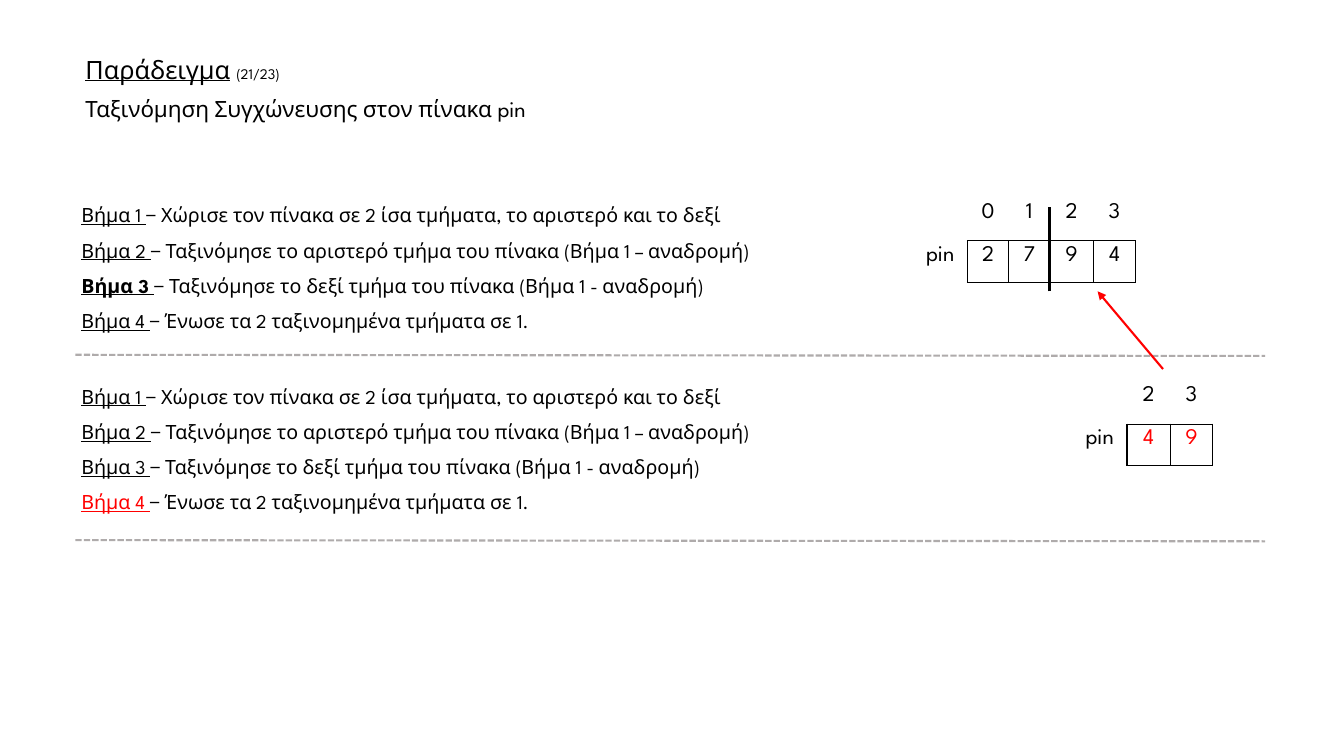
from lxml import etree
from pptx import Presentation
from pptx import util as u
from pptx.dml.color import RGBColor
from pptx.enum import dml, shapes, text
from pptx.oxml import ns

BLACK = RGBColor(0x00, 0x00, 0x00)
RED = RGBColor(0xFF, 0x00, 0x00)
GREY = RGBColor(0xAF, 0xAB, 0xAB)
STEPS = [
    ("Βήμα 1 ", "− Χώρισε τον πίνακα σε 2 ίσα τμήματα, το αριστερό και το δεξί"),
    ("Βήμα 2 ", "− Ταξινόμησε το αριστερό τμήμα του πίνακα (Βήμα 1 – αναδρομή)"),
    ("Βήμα 3 ", "− Ταξινόμησε το δεξί τμήμα του πίνακα (Βήμα 1 - αναδρομή)"),
    ("Βήμα 4 ", "− Ένωσε τα 2 ταξινομημένα τμήματα σε 1."),
]
NAME_WIDTH = 1.37
INDEX_WIDTHS = [1.04, 1.04, 1.09, 1.07]
ROW_HEIGHTS = [1.09, 1.04]


class SlideBuilder:
    """Hold the text style and the current slide, and add its elements."""

    font_name = "League Spartan"

    def __init__(self, slide):
        """Keep the slide to draw on."""
        self.slide = slide

    def style(self, paragraph, size, color=BLACK):
        """Set the font of a whole paragraph."""
        paragraph.font.name = self.font_name
        paragraph.font.size = u.Pt(size)
        paragraph.font.color.rgb = color

    def run(self, paragraph, words, underline=False):
        """Add a run and return it."""
        run = paragraph.add_run()
        run.text = words
        run.font.underline = underline
        return run

    def title(self, heading, page, subtitle):
        """Place the title with its page count and second line."""
        shape = self.slide.shapes.title
        shape.left, shape.top = u.Cm(1.9), u.Cm(1.32)
        shape.width, shape.height = u.Cm(27.41), u.Cm(1.96)
        frame = shape.text_frame
        frame.word_wrap = True
        frame.auto_size = text.MSO_AUTO_SIZE.NONE
        frame.vertical_anchor = text.MSO_ANCHOR.TOP
        first, second = frame.paragraphs[0], frame.add_paragraph()
        self.run(first, heading, underline=True)
        self.run(first, " ")
        self.run(first, page).font.size = u.Pt(10.5)
        self.run(second, subtitle)
        for paragraph, size, space in ((first, 18, 0), (second, 16, 10)):
            paragraph.alignment = text.PP_ALIGN.LEFT
            paragraph.line_spacing = 0.9
            paragraph.space_before = u.Pt(space)
            self.style(paragraph, size)

    def steps(self, top, bold=None, red=None):
        """List the steps, with one label in bold or in red."""
        box = self.slide.shapes.add_textbox(u.Cm(1.8), u.Cm(top), u.Cm(17.86), u.Cm(3.73))
        frame = box.text_frame
        frame.word_wrap = True
        frame.auto_size = text.MSO_AUTO_SIZE.SHAPE_TO_FIT_TEXT
        for number, (label, action) in enumerate(STEPS, 1):
            paragraph = frame.paragraphs[0] if number == 1 else frame.add_paragraph()
            paragraph.line_spacing = 1.5
            label_run = self.run(paragraph, label, underline=True)
            if number == bold:
                label_run.font.bold = True
            if number == red:
                label_run.font.color.rgb = RED
            self.run(paragraph, action)
            self.style(paragraph, 14)

    def border(self, cell, sides):
        """Draw the given sides of a cell and clear the others."""
        properties = cell._tc.get_or_add_tcPr()
        for side in "LRTB":
            line = etree.SubElement(properties, ns.qn(f"a:ln{side}"), w=str(u.Pt(1)))
            if side in sides:
                fill = etree.SubElement(line, ns.qn("a:solidFill"))
                etree.SubElement(fill, ns.qn("a:srgbClr"), val=str(BLACK))
            else:
                etree.SubElement(line, ns.qn("a:noFill"))

    def array(self, left, top, first_index, values, color=BLACK):
        """Draw the pin array with its indexes above its values."""
        indexes = range(first_index, first_index + len(values))
        widths = [NAME_WIDTH] + [INDEX_WIDTHS[index] for index in indexes]
        rows = [["", *indexes], ["pin", *values]]
        table = self.slide.shapes.add_table(
            len(rows), len(widths), u.Cm(left), u.Cm(top),
            u.Cm(sum(widths)), u.Cm(sum(ROW_HEIGHTS))).table
        table.first_row = table.horz_banding = False
        for column, width in zip(table.columns, widths):
            column.width = u.Cm(width)
        for row, height in zip(table.rows, ROW_HEIGHTS):
            row.height = u.Cm(height)
        for i, row in enumerate(rows):
            for j, value in enumerate(row):
                cell = table.cell(i, j)
                boxed = "LRTB" if i else "B"
                self.border(cell, boxed if j else "R" * i)
                cell.fill.background()
                paragraph = cell.text_frame.paragraphs[0]
                paragraph.text = str(value)
                paragraph.alignment = text.PP_ALIGN.CENTER
                self.style(paragraph, 16, color if i and j else BLACK)

    def line(self, start, end, color, width, dash=None, arrow=False):
        """Draw a straight line, with an arrowhead at its start if asked."""
        connector = self.slide.shapes.add_connector(
            shapes.MSO_CONNECTOR.STRAIGHT, *(u.Cm(value) for value in (*start, *end)))
        connector.line.color.rgb = color
        connector.line.width = u.Pt(width)
        if dash:
            connector.line.dash_style = dash
        if arrow:
            etree.SubElement(connector.line._get_or_add_ln(), ns.qn("a:headEnd"), type="triangle")
        etree.SubElement(connector._element.spPr, ns.qn("a:effectLst"))

    def separator(self, top):
        """Draw a dashed line across the slide."""
        self.line((1.9, top), (31.88, top + 0.03), GREY, 1.5, dash=dml.MSO_LINE.SQUARE_DOT)


def main():
    """Build the merge sort slide."""
    presentation = Presentation()
    presentation.slide_width, presentation.slide_height = u.Cm(33.87), u.Cm(19.05)
    builder = SlideBuilder(presentation.slides.add_slide(presentation.slide_layouts[5]))
    builder.title("Παράδειγμα", "(21/23)", "Ταξινόμηση Συγχώνευσης στον πίνακα pin")
    builder.array(23.01, 4.98, 0, [2, 7, 9, 4])
    builder.steps(4.7, bold=3)
    builder.line((26.44, 7.34), (26.44, 5.21), BLACK, 2.25)
    builder.separator(8.94)
    builder.array(27.03, 9.6, 2, [4, 9], color=RED)
    builder.line((27.66, 7.34), (29.31, 9.3), RED, 1.5, arrow=True)
    builder.separator(13.61)
    builder.steps(9.27, red=4)
    presentation.save("out.pptx")


if __name__ == "__main__":
    main()
